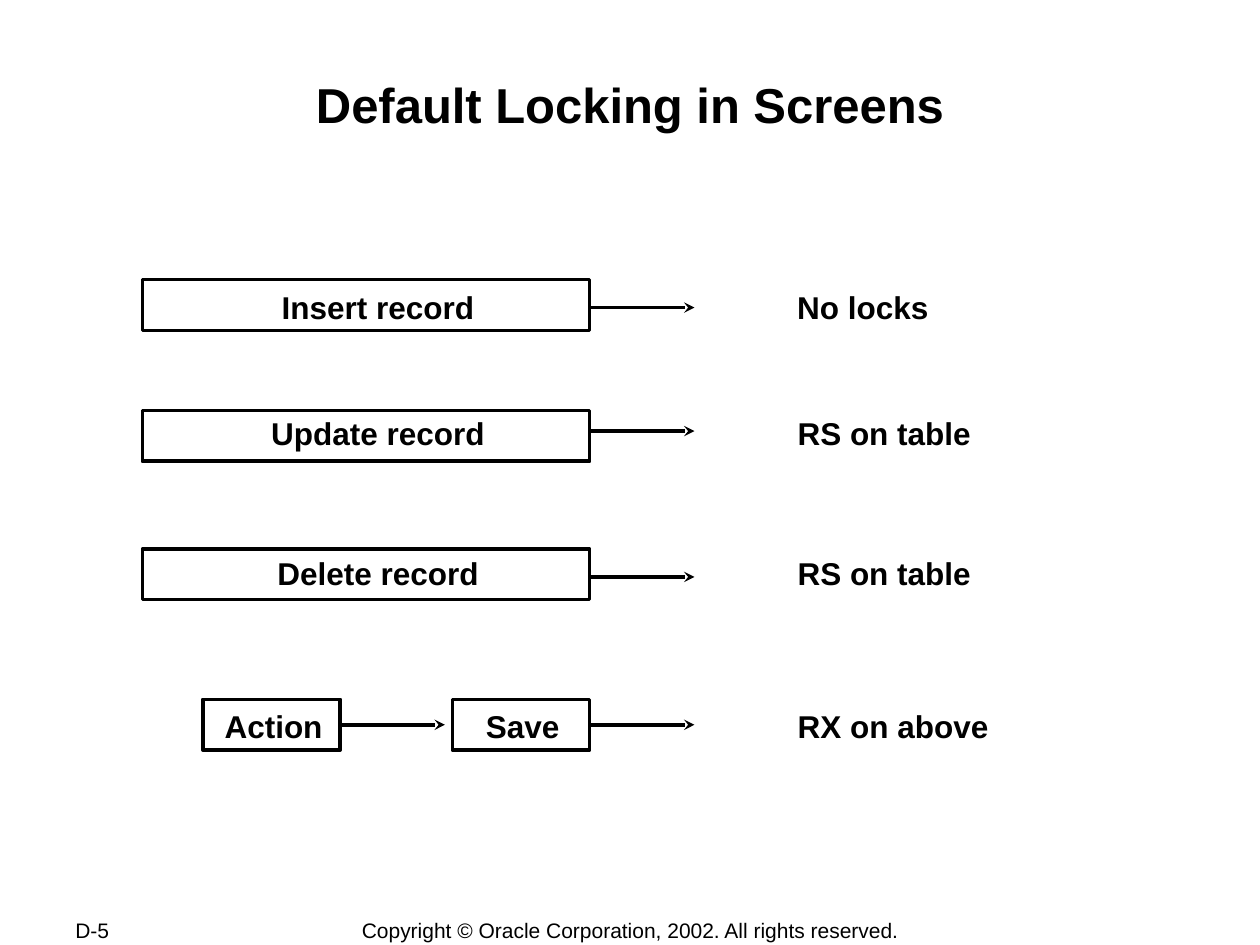
from lxml.etree import SubElement
from pptx import Presentation
from pptx.dml.color import RGBColor
from pptx.enum.shapes import MSO_CONNECTOR, MSO_SHAPE
from pptx.enum.text import MSO_ANCHOR, PP_ALIGN
from pptx.oxml.ns import qn
from pptx.util import Cm, Pt

BOX_HEIGHT = 1.02
BOX_RIGHT = 11.89
ARROW_LENGTH = 2.11
OUTCOME_LEFT = 15.82
RIGHT_SIDE = 3


def color(hex_string):
    return RGBColor.from_string(hex_string)


class LockingSlide:
    """Holds the style and the slide being drawn."""

    font = "Arial"
    ink = "000000"
    line_width = 2

    def __init__(self, slide):
        self.slide = slide

    def text(self, wording, left, top, width, height=BOX_HEIGHT, size=18,
             bold=True, align=PP_ALIGN.CENTER, anchor=MSO_ANCHOR.TOP,
             wrap=False, inset=None):
        label = self.slide.shapes.add_textbox(
            Cm(left), Cm(top), Cm(width), Cm(height))
        frame = label.text_frame
        frame.text = wording
        frame.word_wrap = wrap
        frame.vertical_anchor = anchor
        if inset is not None:
            frame.margin_left = frame.margin_right = Cm(inset)
            frame.margin_top = frame.margin_bottom = Cm(inset)
        paragraph = frame.paragraphs[0]
        paragraph.alignment = align
        for run in paragraph.runs:
            run.font.name = self.font
            run.font.size = Pt(size)
            run.font.bold = bold
            run.font.color.rgb = color(self.ink)

    def box(self, left, top, width):
        box = self.slide.shapes.add_shape(
            MSO_SHAPE.RECTANGLE, Cm(left), Cm(top), Cm(width), Cm(BOX_HEIGHT))
        box.shadow.inherit = False
        box.fill.background()
        box.line.color.rgb = color(self.ink)
        box.line.width = Pt(self.line_width)
        return box

    def arrow(self, left, y, source=None):
        """Draw an arrow to the right, joined to the source box if given."""
        arrow = self.slide.shapes.add_connector(
            MSO_CONNECTOR.STRAIGHT,
            Cm(left), Cm(y), Cm(left + ARROW_LENGTH), Cm(y))
        if source is not None:
            arrow.begin_connect(source, RIGHT_SIDE)
        arrow.line.color.rgb = color(self.ink)
        arrow.line.width = Pt(self.line_width)
        SubElement(arrow.line._get_or_add_ln(), qn("a:tailEnd"), type="stealth")
        SubElement(arrow._element.spPr, qn("a:effectLst"))


def main():
    presentation = Presentation()
    presentation.slide_width = Cm(25.4)
    presentation.slide_height = Cm(19.05)
    page = LockingSlide(
        presentation.slides.add_slide(presentation.slide_layouts[6]))

    page.text("D-5", 1.27, 18.49, 2.69, 0.51, size=12, bold=False,
              align=PP_ALIGN.JUSTIFY, anchor=MSO_ANCHOR.MIDDLE, wrap=True)
    page.text("Copyright © Oracle Corporation, 2002. All rights reserved.",
              7.01, 18.49, 11.4, 0.53, size=12, bold=False,
              anchor=MSO_ANCHOR.MIDDLE)
    page.text("Default Locking in Screens", 2.54, 1.47, 20.32, 2.44, size=28,
              wrap=True, inset=0.03)

    # Operation, its width, box top, text top, arrow height, lock, its width
    operations = [
        ("Insert record", 4.39, 5.64, 5.69, 6.2, "No locks", 3.15),
        ("Update record", 4.83, 8.28, 8.23, 8.69, "RS on table", 4.01),
        ("Delete record", 4.57, 11.07, 11.05, 11.63, "RS on table", 4.01),
    ]
    operation_width = 9.02
    operation_center = 7.62
    for (operation, text_width, box_top, text_top, arrow_y,
         lock, lock_width) in operations:
        page.box(BOX_RIGHT - operation_width, box_top, operation_width)
        page.text(operation, operation_center - text_width / 2, text_top,
                  text_width)
        page.arrow(BOX_RIGHT, arrow_y)
        page.text(lock, OUTCOME_LEFT, text_top, lock_width)

    step_top, step_text_top, step_width = 14.1, 14.12, 2.77
    steps = [("Action", 6.86, 4.27, 2.49), ("Save", BOX_RIGHT, 9.53, 2.01)]
    for step, box_right, text_left, text_width in steps:
        step_box = page.box(box_right - step_width, step_top, step_width)
        page.text(step, text_left, step_text_top, text_width)
        page.arrow(box_right, step_top + BOX_HEIGHT / 2, step_box)
    page.text("RX on above", OUTCOME_LEFT, step_text_top, 4.37)

    presentation.save("out.pptx")


if __name__ == "__main__":
    main()
